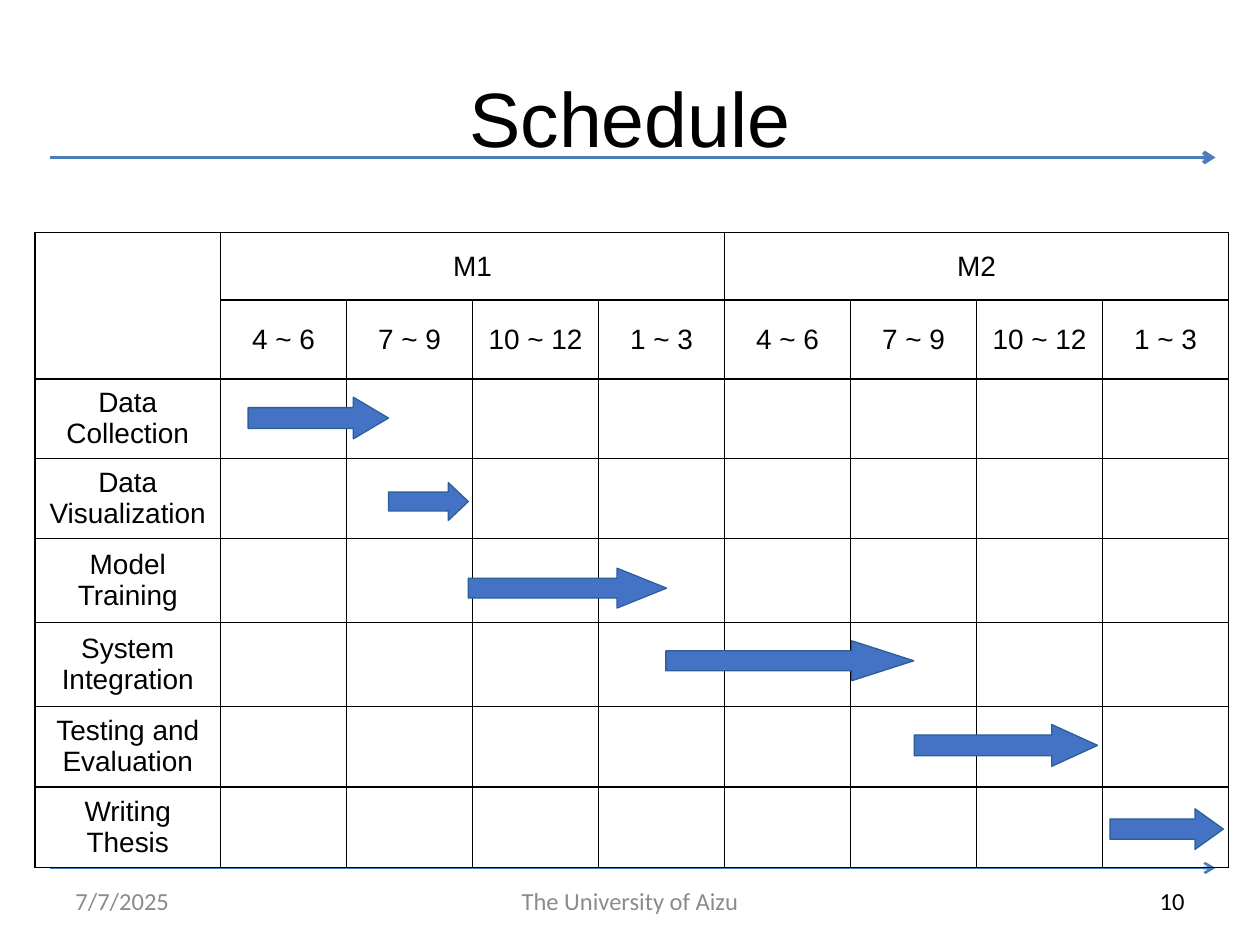
from dataclasses import dataclass

import pptx
import pptx.dml.color
import pptx.enum.shapes
import pptx.enum.text
import pptx.oxml
import pptx.oxml.ns
import pptx.presentation
import pptx.shapes.autoshape
import pptx.slide
import pptx.table
import pptx.text.text
import pptx.util

Pt = pptx.util.Pt
RGBColor = pptx.dml.color.RGBColor
Align = pptx.enum.text.PP_ALIGN
Anchor = pptx.enum.text.MSO_ANCHOR

BLACK = RGBColor(0x00, 0x00, 0x00)
GREY = RGBColor(0x8B, 0x8B, 0x8B)
RULE_BLUE = RGBColor(0x4A, 0x7E, 0xBB)
ARROW_FILL = RGBColor(0x44, 0x72, 0xC4)
ARROW_EDGE = RGBColor(0x2A, 0x60, 0x99)

TABLE_LEFT, TABLE_TOP = 20, 133
LABEL_WIDTH, QUARTER_WIDTH = 106, 72
ROW_HEIGHTS = [38.5, 45, 42.5, 45, 48, 48, 46, 46]
YEARS = ["M1", "M2"]
QUARTERS = ["4 ~ 6", "7 ~ 9", "10 ~ 12", "1 ~ 3"]


@dataclass(frozen=True)
class Label:
    text: str
    left: float
    top: float
    width: float
    height: float
    size: float
    font: str
    color: RGBColor
    align: Align
    inset: float | None = None


@dataclass(frozen=True)
class Task:
    """A table row and the arrow that shows its period."""
    name: str
    left: float
    top: float
    width: float
    height: float


LABELS = [
    Label("Schedule", 36, 21.6, 648, 90, 44, "Arial", BLACK, Align.CENTER, 0),
    Label("7/7/2025", 36, 500.4, 168, 28.8, 14, "Calibri", GREY, Align.LEFT),
    Label("The University of Aizu", 246, 500.4, 228, 28.8, 14, "Calibri", GREY, Align.CENTER),
    Label("10", 516, 500.4, 168, 28.8, 14, "Calibri", BLACK, Align.RIGHT),
]

TASKS = [
    Task("Data Collection", 141.8, 227, 80.2, 23.8),
    Task("Data Visualization", 222, 275.8, 45.6, 21.6),
    Task("Model Training", 267.6, 324.7, 113.3, 22.8),
    Task("System Integration", 380.5, 366.2, 141.7, 22.8),
    Task("Testing and Evaluation", 522.5, 414, 104.7, 23.9),
    Task("Writing Thesis", 634.3, 462.2, 64.8, 23.2),
]


def style_paragraph(para: pptx.text.text._Paragraph, size: float, font: str,
                    color: RGBColor, align: Align) -> None:
    para.alignment = align
    for span in para.runs:
        span.font.size = Pt(size)
        span.font.name = font
        span.font.color.rgb = color


def add_label(page: pptx.slide.Slide, label: Label) -> None:
    box = page.shapes.add_textbox(Pt(label.left), Pt(label.top),
                                  Pt(label.width), Pt(label.height))
    frame = box.text_frame
    frame.word_wrap = True
    frame.vertical_anchor = Anchor.MIDDLE
    if label.inset is not None:
        frame.margin_left = frame.margin_right = Pt(label.inset)
        frame.margin_top = frame.margin_bottom = Pt(label.inset)
    frame.text = label.text
    style_paragraph(frame.paragraphs[0], label.size, label.font, label.color, label.align)


def add_rule(page: pptx.slide.Slide, top: float, weight: float) -> None:
    """Draw a horizontal line across the slide with an open arrowhead."""
    rule = page.shapes.add_connector(pptx.enum.shapes.MSO_CONNECTOR.STRAIGHT,
                                     Pt(28.4), Pt(top), Pt(694.6), Pt(top))
    rule.line.color.rgb = RULE_BLUE
    rule.line.width = Pt(weight)
    namespace = pptx.oxml.ns.nsdecls("a")
    rule.line._get_or_add_ln().append(
        pptx.oxml.parse_xml(f'<a:tailEnd {namespace} type="arrow"/>'))
    rule._element.spPr.append(pptx.oxml.parse_xml(f"<a:effectLst {namespace}/>"))


def add_borders(cell: pptx.table._Cell) -> None:
    properties = cell._tc.get_or_add_tcPr()
    for side in ("lnL", "lnR", "lnT", "lnB"):
        properties.append(pptx.oxml.parse_xml(
            f'<a:{side} {pptx.oxml.ns.nsdecls("a")} w="{Pt(1)}">'
            f'<a:solidFill><a:srgbClr val="{BLACK}"/></a:solidFill></a:{side}>'))


def write_cell(cell: pptx.table._Cell, text: str) -> None:
    cell.text_frame.text = text
    style_paragraph(cell.text_frame.paragraphs[0], 16, "Arial", BLACK, Align.CENTER)


def add_schedule(page: pptx.slide.Slide) -> None:
    widths = [LABEL_WIDTH] + [QUARTER_WIDTH] * (len(YEARS) * len(QUARTERS))
    frame = page.shapes.add_table(len(ROW_HEIGHTS), len(widths), Pt(TABLE_LEFT), Pt(TABLE_TOP),
                                  Pt(sum(widths)), Pt(sum(ROW_HEIGHTS)))
    table = frame.table
    table.first_row = table.horz_banding = False
    for column, width in zip(table.columns, widths):
        column.width = Pt(width)
    for row, height in zip(table.rows, ROW_HEIGHTS):
        row.height = Pt(height)
    for cell in table.iter_cells():
        add_borders(cell)
        cell.fill.background()
        cell.vertical_anchor = Anchor.MIDDLE

    table.cell(0, 0).merge(table.cell(1, 0))
    for year_index, year in enumerate(YEARS):
        first = 1 + year_index * len(QUARTERS)
        table.cell(0, first).merge(table.cell(0, first + len(QUARTERS) - 1))
        write_cell(table.cell(0, first), year)
        for column_index, quarter in enumerate(QUARTERS, first):
            write_cell(table.cell(1, column_index), quarter)
    for row_index, task in enumerate(TASKS, 2):
        write_cell(table.cell(row_index, 0), task.name)


def add_task_arrow(page: pptx.slide.Slide, task: Task) -> None:
    """Draw a block arrow whose head takes a quarter of its length."""
    arrow = page.shapes.add_shape(pptx.enum.shapes.MSO_SHAPE.RIGHT_ARROW, Pt(task.left),
                                  Pt(task.top), Pt(task.width), Pt(task.height))
    arrow.adjustments[0] = 0.5
    arrow.adjustments[1] = 0.25 * task.width / task.height
    arrow.shadow.inherit = False
    arrow.fill.solid()
    arrow.fill.fore_color.rgb = ARROW_FILL
    arrow.line.color.rgb = ARROW_EDGE
    arrow.line.width = Pt(0)


def main() -> None:
    deck = pptx.Presentation()
    deck.slide_width, deck.slide_height = Pt(720), Pt(540)
    page = deck.slides.add_slide(deck.slide_layouts[6])
    add_rule(page, 496, 1.5)
    add_rule(page, 90, 2.25)
    title, *footers = LABELS
    add_label(page, title)
    add_schedule(page)
    for task in TASKS:
        add_task_arrow(page, task)
    for footer in footers:
        add_label(page, footer)
    deck.save("out.pptx")


if __name__ == "__main__":
    main()
